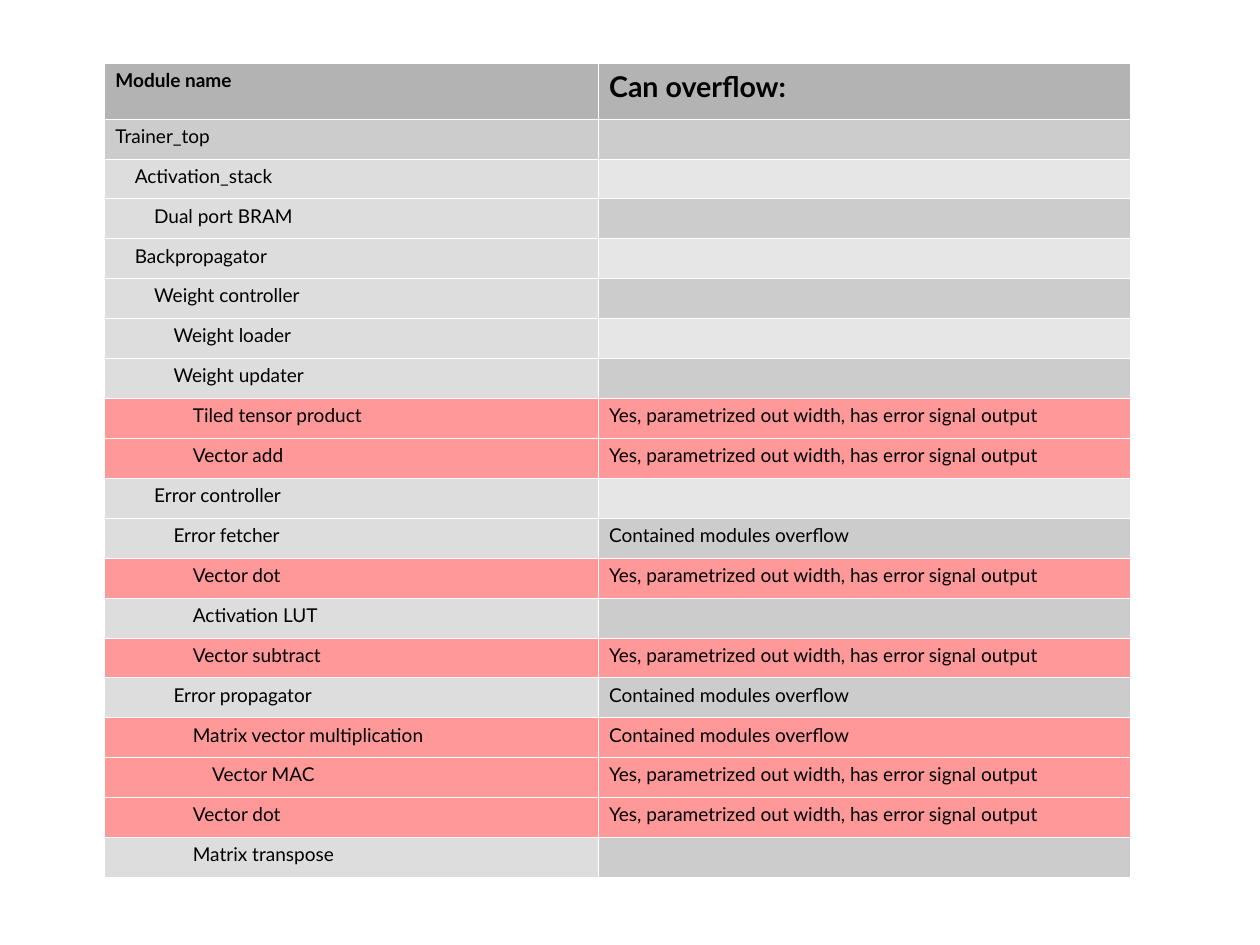
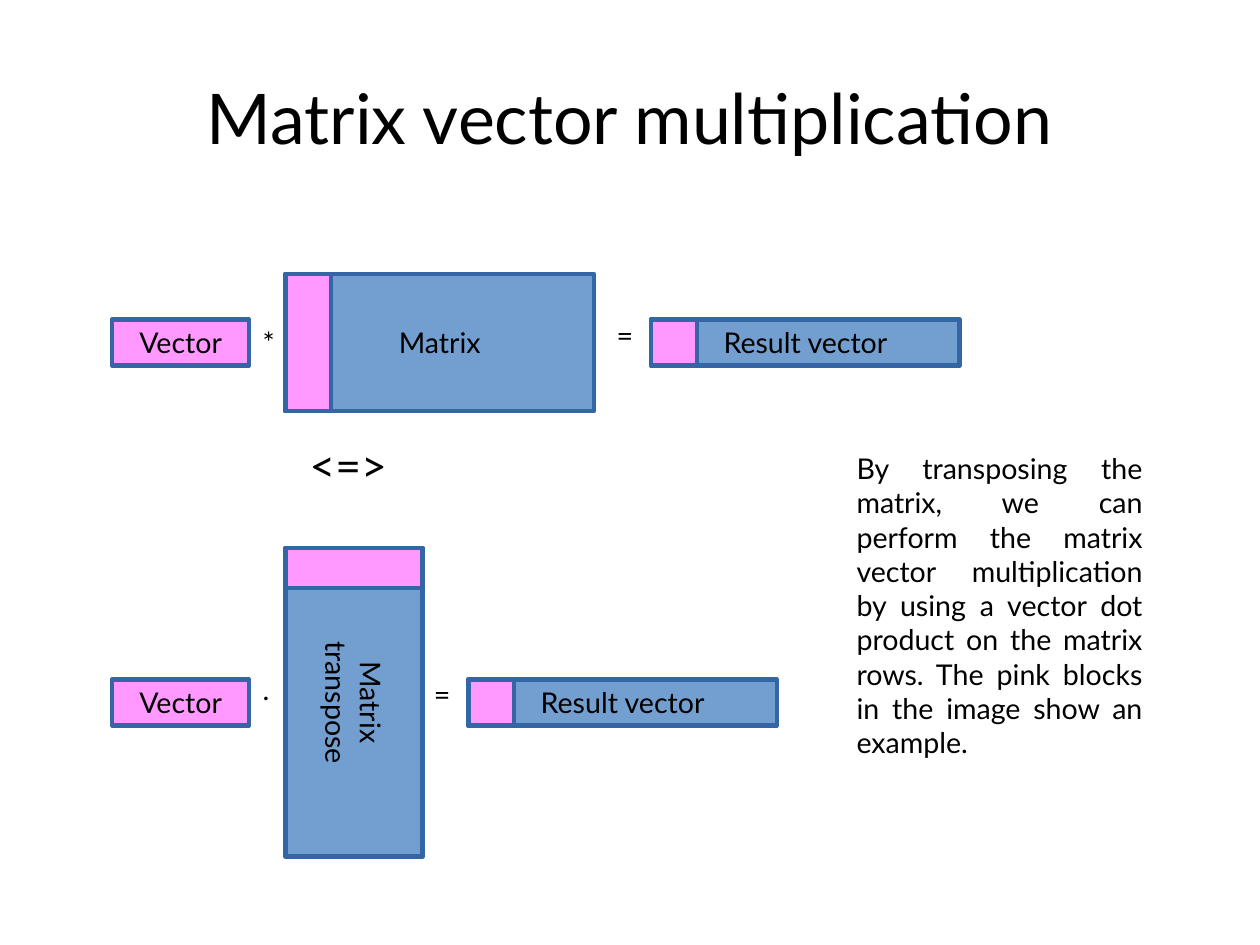
from lxml.etree import SubElement
from pptx import Presentation
from pptx.dml.color import RGBColor
from pptx.enum.shapes import MSO_SHAPE
from pptx.enum.text import MSO_ANCHOR, PP_ALIGN
from pptx.oxml.ns import qn
from pptx.util import Pt

FONT = "Lato"
BLACK = RGBColor(0x00, 0x00, 0x00)
HEADER_GREY = RGBColor(0xB3, 0xB3, 0xB3)
DARK_GREY = RGBColor(0xCC, 0xCC, 0xCC)
MID_GREY = RGBColor(0xDD, 0xDD, 0xDD)
LIGHT_GREY = RGBColor(0xE6, 0xE6, 0xE6)
RED = RGBColor(0xFF, 0x99, 0x99)
PINK = RGBColor(0xFF, 0x99, 0xFF)
BLUE = RGBColor(0x72, 0x9F, 0xCF)
OUTLINE = RGBColor(0x34, 0x65, 0xA4)

YES = "Yes, parametrized out width, has error signal output"
CONTAINED = "Contained modules overflow"
MODULES = [
    (0, "Trainer_top", "", False),
    (1, "Activation_stack", "", False),
    (2, "Dual port BRAM", "", False),
    (1, "Backpropagator", "", False),
    (2, "Weight controller", "", False),
    (3, "Weight loader", "", False),
    (3, "Weight updater", "", False),
    (4, "Tiled tensor product", YES, True),
    (4, "Vector add", YES, True),
    (2, "Error controller", "", False),
    (3, "Error fetcher", CONTAINED, False),
    (4, "Vector dot", YES, True),
    (4, "Activation LUT", "", False),
    (4, "Vector subtract", YES, True),
    (3, "Error propagator", CONTAINED, False),
    (4, "Matrix vector multiplication", CONTAINED, True),
    (5, "Vector MAC", YES, True),
    (4, "Vector dot", YES, True),
    (4, "Matrix transpose", "", False),
]
INSET, INDENT = 7.2, 12.2
HEADER_H, ROW_H = 35, 25.15
BAR_H, VECTOR_W, VECTOR_GAP = 28.8, 86.4, 22.8
MATRIX_LONG, MATRIX_SHORT = 194.4, 86.4
ROW_STRIP_H = 25.2


def write(tf, text, size, bold=False, align=PP_ALIGN.LEFT):
    tf.text = text
    for p in tf.paragraphs:
        p.alignment = align
        p.font.name = FONT
        p.font.size = Pt(size)
        p.font.bold = bold
        p.font.color.rgb = BLACK


def add_borders(cell):
    tcPr = cell._tc.get_or_add_tcPr()
    for i, side in enumerate(("a:lnL", "a:lnR", "a:lnT", "a:lnB")):
        ln = SubElement(tcPr, qn(side), w=str(Pt(0.06)))
        SubElement(SubElement(ln, qn("a:solidFill")), qn("a:srgbClr"), val="FFFFFF")
        tcPr.remove(ln)
        tcPr.insert(i, ln)


def fill_cell(cell, text, color, size=12, bold=False, level=0):
    cell.fill.solid()
    cell.fill.fore_color.rgb = color
    cell.margin_left = Pt(INSET + INDENT * level)
    write(cell.text_frame, text, size, bold)
    add_borders(cell)


def add_module_table(slide, left, top, widths):
    height = HEADER_H + ROW_H * len(MODULES)
    frame = slide.shapes.add_table(len(MODULES) + 1, 2, Pt(left), Pt(top),
                                   Pt(sum(widths)), Pt(height))
    table = frame.table
    table.horz_banding = False
    for column, width in zip(table.columns, widths):
        column.width = Pt(width)
    for row in table.rows:
        row.height = Pt(ROW_H)
    table.rows[0].height = Pt(HEADER_H)
    fill_cell(table.cell(0, 0), "Module name", HEADER_GREY, bold=True)
    fill_cell(table.cell(0, 1), "Can overflow:", HEADER_GREY, 18, True)
    for i, (level, name, note, overflows) in enumerate(MODULES, 1):
        name_color = MID_GREY if level else DARK_GREY
        note_color = DARK_GREY if i % 2 else LIGHT_GREY
        if overflows:
            name_color = note_color = RED
        fill_cell(table.cell(i, 0), name, name_color, level=level)
        fill_cell(table.cell(i, 1), note, note_color)


def add_block(slide, left, top, width, height, color, text="", rotation=0):
    sp = slide.shapes.add_shape(MSO_SHAPE.RECTANGLE, Pt(left), Pt(top), Pt(width), Pt(height))
    sp.shadow.inherit = False
    sp.rotation = rotation
    sp.fill.solid()
    sp.fill.fore_color.rgb = color
    sp.line.color.rgb = OUTLINE
    sp.line.width = Pt(2.89)
    if text:
        sp.text_frame.word_wrap = False
        sp.text_frame.vertical_anchor = MSO_ANCHOR.MIDDLE
        write(sp.text_frame, text, 18, align=PP_ALIGN.CENTER)


def add_text(slide, left, top, width, height, text, size=18, align=PP_ALIGN.LEFT, wrap=True):
    tf = slide.shapes.add_textbox(Pt(left), Pt(top), Pt(width), Pt(height)).text_frame
    tf.word_wrap = wrap
    write(tf, text, size, align=align)


def add_equation(slide, left, middle, operator, operator_rise, equals_gap, transposed):
    bar_top = middle - BAR_H / 2
    matrix_left = left + VECTOR_W + VECTOR_GAP
    matrix_w = MATRIX_SHORT if transposed else MATRIX_LONG
    equals_left = matrix_left + matrix_w + equals_gap
    result_left = equals_left + BAR_H

    add_block(slide, left, bar_top, VECTOR_W, BAR_H, PINK, "Vector")
    add_text(slide, left + VECTOR_W + 1.4, middle - operator_rise, 22, 34, operator, wrap=False)
    add_block(slide, matrix_left + (matrix_w - MATRIX_LONG) / 2, middle - MATRIX_SHORT / 2,
              MATRIX_LONG, MATRIX_SHORT, BLUE,
              "Matrix\ntranspose" if transposed else "Matrix", 90 if transposed else 0)
    if transposed:
        add_block(slide, matrix_left, middle - MATRIX_LONG / 2, MATRIX_SHORT, ROW_STRIP_H, PINK)
    else:
        add_block(slide, matrix_left, middle - MATRIX_SHORT / 2, BAR_H, MATRIX_SHORT, PINK)
    add_text(slide, equals_left, middle - 19.4, 25.2, 34, "=", wrap=False)
    add_block(slide, result_left, bar_top, MATRIX_LONG, BAR_H, BLUE, "Result vector")
    add_block(slide, result_left, bar_top, BAR_H, BAR_H, PINK)


def set_title(slide, left, top, width, height, text):
    title = slide.shapes.title
    title.left, title.top, title.width, title.height = Pt(left), Pt(top), Pt(width), Pt(height)
    tf = title.text_frame
    tf.margin_left = tf.margin_right = tf.margin_top = tf.margin_bottom = 0
    tf.vertical_anchor = MSO_ANCHOR.MIDDLE
    write(tf, text, 44, align=PP_ALIGN.CENTER)


def build_module_slide(prs):
    s = prs.slides.add_slide(prs.slide_layouts[6])
    add_module_table(s, 65.5, 39.8, (311, 335.5))


def build_multiplication_slide(prs):
    s = prs.slides.add_slide(prs.slide_layouts[5])
    set_title(s, 39.6, 23.8, 714.2, 99.4, "Matrix vector multiplication")
    add_equation(s, 70.6, 215.8, "*", 14.4, 7.2, False)
    add_text(s, 188, 272.2, 108, 48, "<=>", 28)
    add_equation(s, 70.6, 442.5, ".", 23, 0, True)
    add_text(s, 532.5, 280.5, 194.4, 272,
             "By transposing the matrix, we can perform the matrix vector multiplication "
             "by using a vector dot product on the matrix rows. The pink blocks in the "
             "image show an example.", align=PP_ALIGN.JUSTIFY)


def main():
    prs = Presentation()
    prs.slide_width, prs.slide_height = Pt(793.7), Pt(595.28)
    build_module_slide(prs)
    build_multiplication_slide(prs)
    prs.save("out.pptx")


if __name__ == "__main__":
    main()
